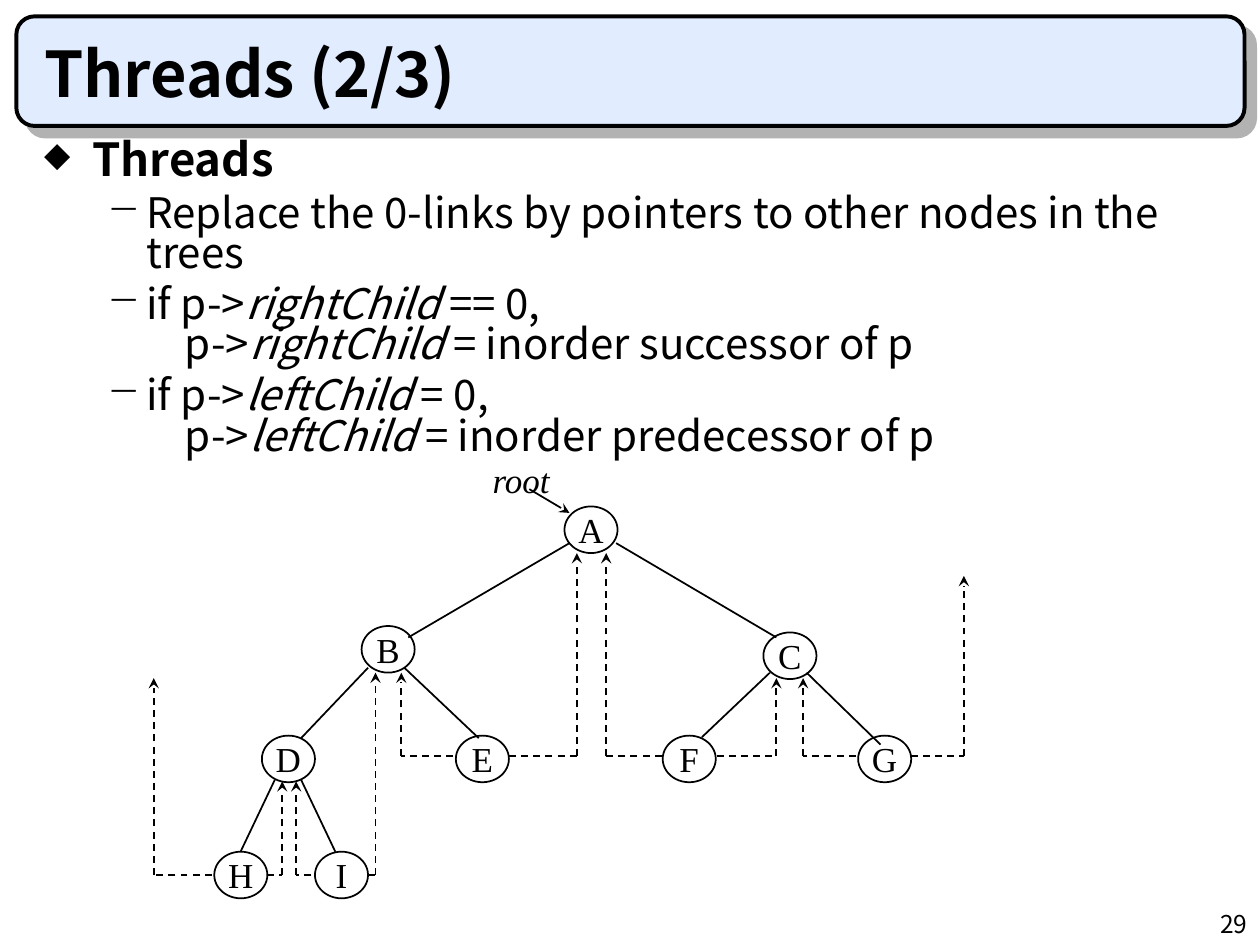
from lxml.etree import SubElement
from pptx import Presentation
from pptx.dml.color import RGBColor
from pptx.enum.dml import MSO_LINE
from pptx.enum.shapes import MSO_CONNECTOR, MSO_SHAPE
from pptx.enum.text import MSO_ANCHOR, PP_ALIGN
from pptx.oxml.ns import qn
from pptx.util import Cm, Pt

SANS, SERIF = "Noto Sans CJK KR", "Times New Roman"
BLACK = "000000"


def colour(hex_code):
    return RGBColor.from_string(hex_code)


def add_xml(parent, tag, **attributes):
    return SubElement(parent, qn(tag), {k: str(v) for k, v in attributes.items()})


class ThreadSlide:
    """Style and element methods for the current slide."""

    def __init__(self, slide):
        self.slide = slide

    def style(self, run, size, font=SANS, bold=False, italic=False):
        run.font.name, run.font.size = font, Pt(size)
        run.font.bold, run.font.italic = bold, italic
        run.font.color.rgb = colour(BLACK)

    def textbox(self, box, anchor=MSO_ANCHOR.TOP, wrap=True):
        frame = self.slide.shapes.add_textbox(*map(Cm, box)).text_frame
        frame.word_wrap, frame.vertical_anchor = wrap, anchor
        return frame

    def label(self, text, box, size, anchor=MSO_ANCHOR.TOP, wrap=True,
              align=PP_ALIGN.LEFT, **look):
        frame = self.textbox(box, anchor, wrap)
        frame.text = text
        frame.paragraphs[0].alignment = align
        self.style(frame.paragraphs[0].runs[0], size, **look)

    def banner(self, box, fill):
        banner = self.slide.shapes.add_shape(MSO_SHAPE.ROUNDED_RECTANGLE, *map(Cm, box))
        banner.shadow.inherit = False
        banner.fill.solid()
        banner.fill.fore_color.rgb = colour(fill)
        banner.line.color.rgb = colour(BLACK)
        banner.line.width = Pt(2.25)
        effects = banner._element.spPr.find(qn("a:effectLst"))
        shadow = add_xml(effects, "a:outerShdw", blurRad=0, dist=Pt(8.5),
                         dir=45 * 60000, algn="ctr", rotWithShape=0)
        add_xml(shadow, "a:srgbClr", val="B2B2B2")

    def body_paragraph(self, paragraph, parts, size, left, hanging=0.0,
                       bullet=None, bullet_size=100, before=0, bold=False):
        """Odd-numbered parts are italic."""
        paragraph.line_spacing = 0.8
        paragraph.space_before = Pt(before)
        properties = paragraph._p.get_or_add_pPr()
        properties.set("marL", str(Cm(left)))
        properties.set("indent", str(-Cm(hanging)))
        if bullet:
            add_xml(add_xml(properties, "a:buClr"), "a:srgbClr", val=BLACK)
            add_xml(properties, "a:buSzPct", val=bullet_size * 1000)
            add_xml(properties, "a:buChar", char=bullet)
        else:
            add_xml(properties, "a:buNone")
        for index, part in enumerate(parts):
            run = paragraph.add_run()
            run.text = part
            self.style(run, size, bold=bold, italic=index % 2 == 1)

    def node(self, name, left, top):
        node = self.slide.shapes.add_shape(
            MSO_SHAPE.OVAL, Cm(left), Cm(top), Cm(1.07), Cm(0.94))
        node.shadow.inherit = False
        node.fill.background()
        node.line.color.rgb = colour(BLACK)
        node.line.width = Pt(1)
        frame = node.text_frame
        frame.word_wrap, frame.vertical_anchor = False, MSO_ANCHOR.MIDDLE
        frame.text = name
        frame.paragraphs[0].alignment = PP_ALIGN.CENTER
        self.style(frame.paragraphs[0].runs[0], 20, SERIF)

    def link(self, x1, y1, x2, y2, dashed=False, arrow=False):
        link = self.slide.shapes.add_connector(
            MSO_CONNECTOR.STRAIGHT, Cm(x1), Cm(y1), Cm(x2), Cm(y2))
        link.line.color.rgb = colour(BLACK)
        link.line.width = Pt(1)
        if dashed:
            link.line.dash_style = MSO_LINE.DASH
        if arrow:
            add_xml(link.line._get_or_add_ln(), "a:tailEnd", type="stealth")
        add_xml(link._element.spPr, "a:effectLst")

    def thread(self, start_x, level, turn_x, tip):
        self.link(start_x, level, turn_x, level, dashed=True)
        self.link(turn_x, level, turn_x, tip, dashed=True, arrow=True)


def main():
    deck = Presentation()
    deck.slide_width, deck.slide_height = Cm(25.4), Cm(19.05)
    page = ThreadSlide(deck.slides.add_slide(deck.slide_layouts[6]))

    # Heading and page number
    page.banner((0.33, 0.33, 24.76, 2.21), "E1ECFF")
    page.label("29", (20.12, 18.21, 5.28, 0.84), 14, align=PP_ALIGN.RIGHT)
    page.label("Threads (2/3)", (0.64, 0.64, 23.93, 1.7), 36,
               anchor=MSO_ANCHOR.BOTTOM, bold=True)

    # Definition of threads
    body = page.textbox((0.64, 2.74, 23.93, 14.81))
    page.body_paragraph(body.paragraphs[0], ["Threads"], 26, 0.97, 0.97,
                        bullet="◆", bullet_size=75, bold=True)
    rules = [
        (["Replace the 0-links by pointers to other nodes in the trees"], None),
        (["if p->", "rightChild", " == 0,"],
         ["p->", "rightChild", " = inorder successor of p"]),
        (["if p->", "leftChild", " = 0,"],
         ["p->", "leftChild", " = inorder predecessor of p"]),
    ]
    for condition, result in rules:
        page.body_paragraph(body.add_paragraph(), condition, 24, 2.06, 0.79,
                            bullet="−", before=6)
        if result:
            page.body_paragraph(body.add_paragraph(), result, 24, 2.84)

    # Tree nodes
    leaf_row, bottom_row = 14.83, 17.17
    nodes = [
        ("A", 11.38, 10.21), ("B", 7.29, 12.62), ("C", 15.39, 12.75),
        ("D", 5.28, leaf_row), ("E", 9.19, leaf_row), ("F", 13.36, leaf_row),
        ("G", 17.3, leaf_row), ("H", 4.32, bottom_row), ("I", 6.35, bottom_row),
    ]
    for name, left, top in nodes:
        page.node(name, left, top)

    # Child links
    child_links = [
        (11.48, 10.95, 8.23, 12.85), (12.42, 10.95, 15.65, 12.85),
        (7.42, 13.46, 6.07, 14.88), (8.15, 13.46, 9.65, 14.88),
        (5.54, 15.72, 4.85, 17.17), (6.07, 15.72, 6.76, 17.17),
        (15.52, 13.56, 14.15, 14.86), (16.26, 13.56, 17.75, 15.01),
    ]
    for ends in child_links:
        page.link(*ends)

    # Root pointer
    page.label("root", (9.68, 9.12, 1.7, 1.09), 20, wrap=False,
               font=SERIF, italic=True)
    page.link(10.67, 9.86, 11.48, 10.34, arrow=True)

    # Threads: start x, turn x and tip y on each level
    threads = {
        15.24: [(9.14, 8.09, 13.56), (10.26, 11.63, 11.15), (13.34, 12.22, 11.15),
                (14.45, 15.65, 13.67), (17.25, 16.19, 13.67), (18.36, 19.43, 11.61)],
        17.64: [(4.27, 3.1, 13.67), (5.38, 5.69, 15.75), (6.27, 5.97, 15.75),
                (7.42, 7.57, 13.56)],
    }
    for level, paths in threads.items():
        for start_x, turn_x, tip in paths:
            page.thread(start_x, level, turn_x, tip)

    deck.save("out.pptx")


if __name__ == "__main__":
    main()
